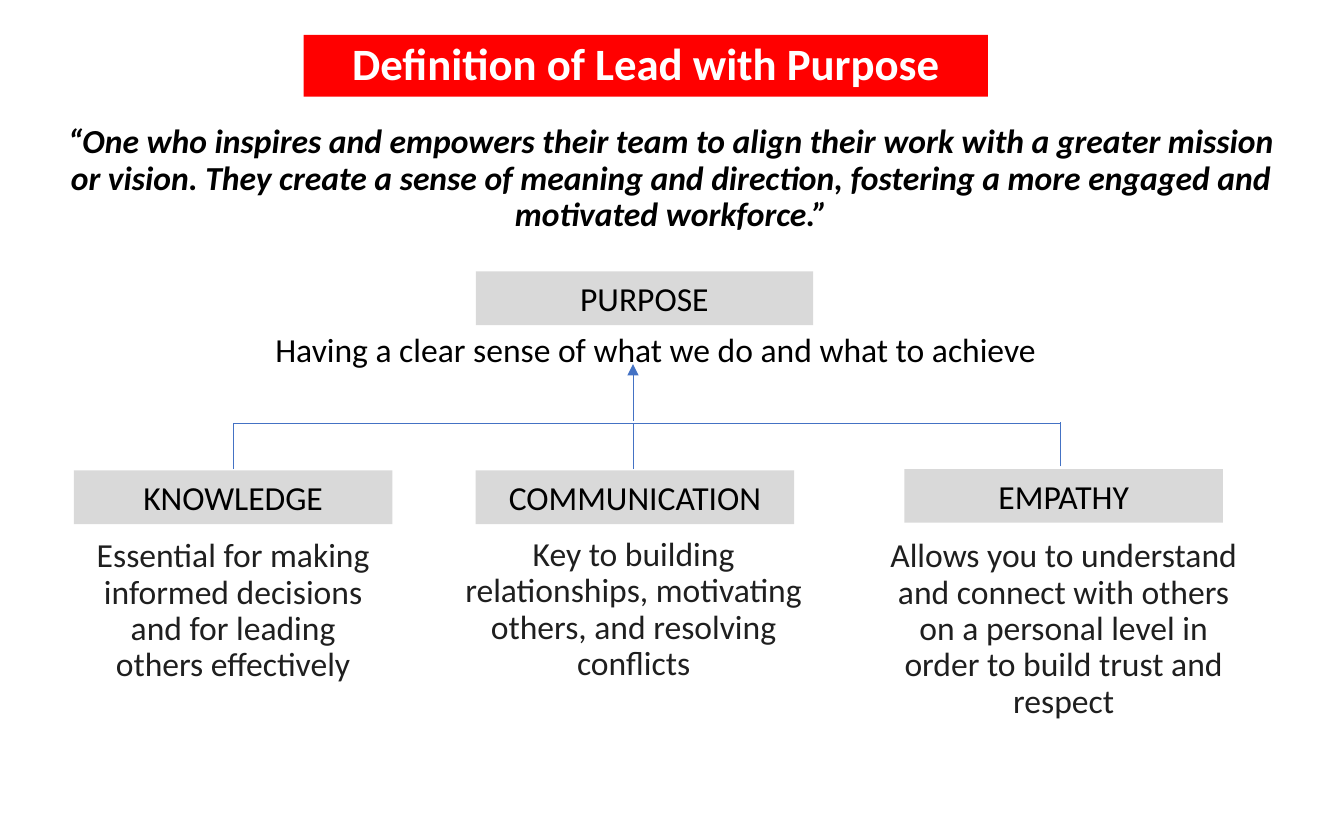
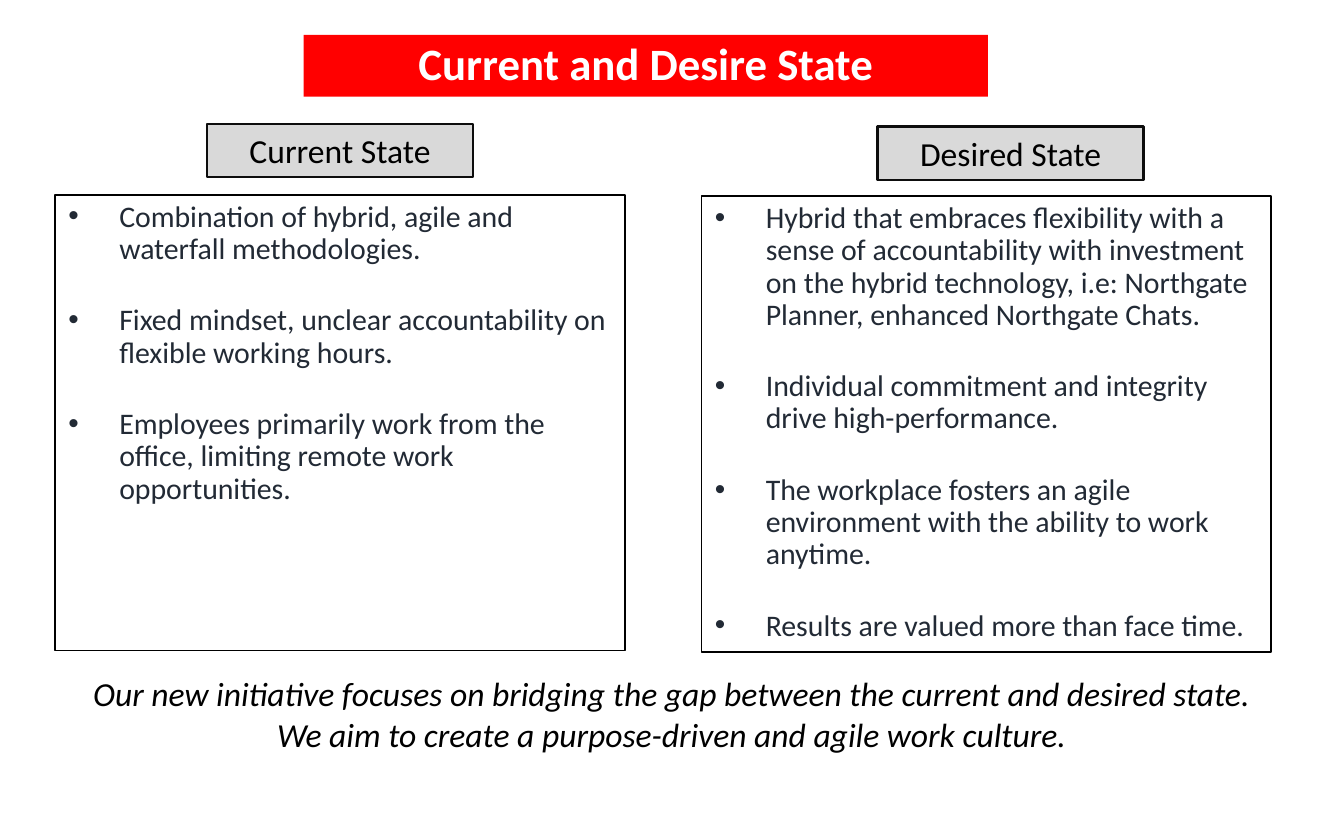
from pptx import Presentation
from pptx.dml.color import RGBColor
from pptx.enum.shapes import MSO_CONNECTOR as Link, MSO_SHAPE as Preset
from pptx.enum.text import MSO_ANCHOR as Anchor, MSO_AUTO_SIZE as Fit, PP_ALIGN as Align
from pptx.oxml.ns import qn
from pptx.util import Inches, Pt
from lxml.etree import SubElement

COLOURS = {
    "band": "FF0000", "label": "D9D9D9", "white": "FFFFFF", "black": "000000",
    "detail": "1F1F1F", "state": "222A35", "label_edge": "0D0D0D", "branch": "4472C4",
}
FONT = "Calibri"

deck = Presentation()
deck.slide_width, deck.slide_height = Inches(10), Inches(6.25)
COL = deck.slide_width / 100
ROW = deck.slide_height / 62.5
TITLE_AREA = (22.6, 2.6, 50.9, 4.6)
LABEL_HEIGHT = 4


def block(slide, kind, area, paragraphs, size=18, colour="black", fill=None, edge=None,
          edge_width=1, align=Align.CENTER, bold=False, italic=False, spaced=False, bullet=None):
    if kind == "title":
        shape = slide.shapes.title
    elif kind == "text":
        shape = slide.shapes.add_textbox(0, 0, 0, 0)
    else:
        shape = slide.shapes.add_shape(Preset.RECTANGLE, 0, 0, 0, 0)
    left, top, width, height = area
    shape.left, shape.width = int(left * COL), int(width * COL)
    shape.top, shape.height = int(top * ROW), int(height * ROW)
    shape.shadow.inherit = False
    if fill:
        shape.fill.solid()
        shape.fill.fore_color.rgb = RGBColor.from_string(COLOURS[fill])
    else:
        shape.fill.background()
    if edge:
        shape.line.color.rgb = RGBColor.from_string(COLOURS[edge])
        shape.line.width = Pt(edge_width)
    else:
        shape.line.fill.background()

    frame = shape.text_frame
    frame.word_wrap = True
    frame.auto_size = Fit.NONE
    frame.vertical_anchor = Anchor.TOP
    for index, lines in enumerate(paragraphs):
        paragraph = frame.add_paragraph() if index else frame.paragraphs[0]
        paragraph.alignment = align
        if spaced:
            paragraph.line_spacing = 0.9
            paragraph.space_before, paragraph.space_after = Pt(18), Pt(3)
        if bullet:
            properties = paragraph._p.get_or_add_pPr()
            properties.set("marL", str(Inches(0.38)))
            properties.set("indent", str(-Inches(0.38)))
            SubElement(properties, qn("a:buFont"), typeface="Arial")
            SubElement(properties, qn("a:buChar"), char=bullet)
        for number, line in enumerate(lines.split("\n")):
            if number:
                paragraph.add_line_break()
            run = paragraph.add_run()
            run.text = line
            run.font.name, run.font.size = FONT, Pt(size)
            run.font.bold, run.font.italic = bold, italic
            run.font.color.rgb = RGBColor.from_string(COLOURS[colour])


slides = []
for heading in ("Definition of Lead with Purpose", "Current and Desire State"):
    slide = deck.slides.add_slide(deck.slide_layouts[5])
    block(slide, "title", TITLE_AREA, [heading], 24, "white", "band", bold=True, spaced=True)
    slides.append(slide)
definition, states = slides

block(definition, "text", (3.5, 8.8, 92.9, 9.2),
      ["“One who inspires and empowers their team to align their work with a greater mission "
       "or vision. They create a sense of meaning and direction, fostering a more engaged and "
       "motivated workforce.”"], bold=True, italic=True, spaced=True)
block(definition, "shape", (35.4, 20.2, 25.1, LABEL_HEIGHT), ["PURPOSE"], fill="label")
block(definition, "text", (19.5, 24, 63.1, LABEL_HEIGHT),
      ["Having a clear sense of what we do and what to achieve"], align=Align.LEFT)

pillars = [
    ("KNOWLEDGE", 5.5, 35, (5.5, 39.6, 23.7, 11.9),
     "Essential for making informed decisions and for leading others effectively"),
    ("COMMUNICATION", 35.4, 35, (33, 39.5, 28.3, 11.9),
     "Key to building relationships, motivating others, and resolving conflicts"),
    ("EMPATHY", 67.3, 34.9, (65, 39.6, 28.3, 14.6),
     "Allows you to understand and connect with others on a personal level in order to build "
     "trust and respect"),
]
for name, left, top, detail_area, detail in pillars:
    block(definition, "shape", (left, top, 23.7, LABEL_HEIGHT), [name], fill="label")
    block(definition, "text", detail_area, [detail], colour="detail", spaced=True)

first, middle, last = 17.4, 47.1, 78.9
trunk = 31.5
branches = [
    (first, 34.9, first, trunk), (middle, 34.9, middle, trunk), (last, 34.7, last, 31.4),
    (first, trunk, last, trunk), (middle, 31.3, middle, 27.1),
]
for x1, y1, x2, y2 in branches:
    branch = definition.shapes.add_connector(
        Link.STRAIGHT, int(x1 * COL), int(y1 * ROW), int(x2 * COL), int(y2 * ROW))
    branch.line.color.rgb = RGBColor.from_string(COLOURS["branch"])
    branch.line.width = Pt(0.5)
    SubElement(branch._element.spPr, qn("a:effectLst"))
SubElement(branch.line._get_or_add_ln(), qn("a:tailEnd"), type="triangle")

columns = [
    ("Current State", 15.4, 9.2, 1, 4.1, 14.5, [
        "Combination of hybrid, agile and waterfall methodologies.",
        "Fixed mindset, unclear accountability on flexible working hours.",
        "Employees primarily work from the office, limiting remote work opportunities."]),
    ("Desired State", 65.3, 9.4, 1.5, 52.2, 14.6, [
        "Hybrid that embraces flexibility with a sense of accountability with investment on the "
        "hybrid technology, i.e: Northgate Planner, enhanced Northgate Chats.",
        "Individual commitment and integrity drive high-performance.",
        "The workplace fosters an agile environment with the ability to work anytime.",
        "Results are valued more than face time."]),
]
for name, label_left, label_top, label_edge, left, top, points in columns:
    block(states, "shape", (left, top, 42.4, 33.9), points, 16, "state", edge="black",
          align=Align.LEFT, spaced=True, bullet="•")
    block(states, "shape", (label_left, label_top, 19.8, LABEL_HEIGHT), [name],
          fill="label", edge="label_edge", edge_width=label_edge)

block(states, "text", (4.1, 49.6, 91.8, 7.1),
      ["Our new initiative focuses on bridging the gap between the current and desired state.\n"
       "We aim to create a purpose-driven and agile work culture."], italic=True)

deck.save("out.pptx")
